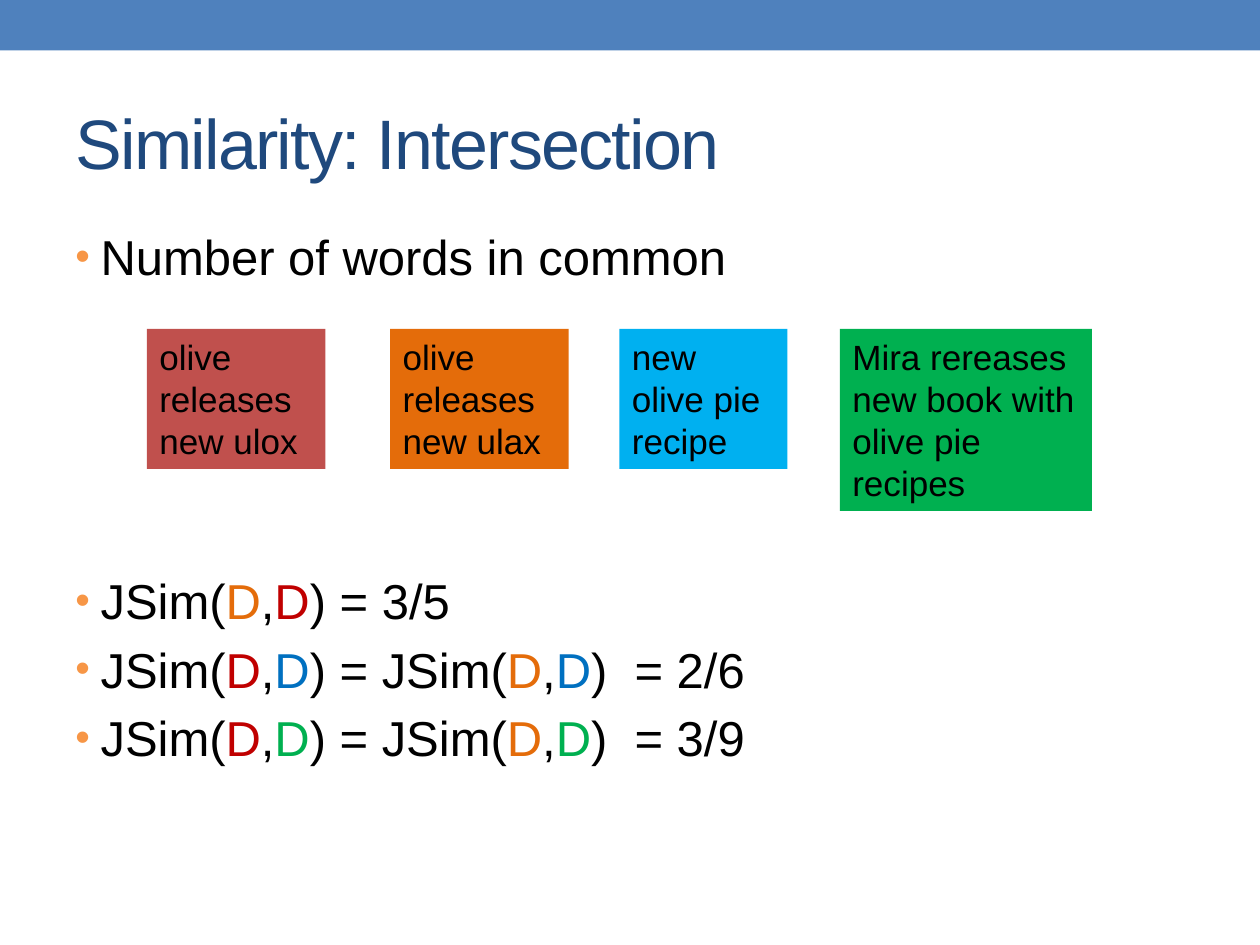
from dataclasses import dataclass

from lxml import etree
from pptx import Presentation
from pptx.dml.color import RGBColor
from pptx.enum import shapes, text
from pptx.util import Pt


@dataclass(frozen=True)
class Theme:
    font: str = "Arial"
    head: int = 40
    body: int = 28
    note: int = 20
    gap: float = 5.6
    bar: str = "4F81BD"
    title: str = "1F497D"
    ink: str = "000000"
    dot: str = "F79646"
    red: str = "C0504D"
    orange: str = "E46C0A"
    sky: str = "00B0F0"
    green: str = "00B050"
    crimson: str = "C00000"
    blue: str = "0070C0"


LOOK = Theme()


def style(font, size, color):
    font.name, font.size = LOOK.font, Pt(size)
    font.color.rgb = RGBColor.from_string(color)


def add_rect(slide, box, color):
    rect = slide.shapes.add_shape(shapes.MSO_SHAPE.RECTANGLE, *map(Pt, box))
    rect.shadow.inherit = False
    rect.fill.solid()
    rect.fill.fore_color.rgb = RGBColor.from_string(color)
    rect.line.fill.background()
    return rect


def add_frame(slide, box, anchor):
    frame = slide.shapes.add_textbox(*map(Pt, box)).text_frame
    frame.word_wrap = True
    frame.vertical_anchor = anchor
    return frame


def add_title(slide, words):
    frame = add_frame(slide, (36, 42, 648, 78), text.MSO_ANCHOR.MIDDLE)
    para = frame.paragraphs[0]
    run = para.add_run()
    run.text = words
    style(para.font, LOOK.head, LOOK.title)
    run.font._element.set("spc", "-100")


def add_card(slide, left, width, height, color, words):
    rect = add_rect(slide, (left, 188, width, height), color)
    frame = rect.text_frame
    frame.word_wrap = True
    frame.vertical_anchor = text.MSO_ANCHOR.TOP
    para = frame.paragraphs[0]
    para.text = words
    para.alignment = text.PP_ALIGN.LEFT
    style(para.font, LOOK.note, LOOK.ink)


def add_dot(para):
    props = para._p.get_or_add_pPr()
    props.set("marL", str(Pt(14.4)))
    props.set("indent", str(-Pt(14.4)))
    space = props.nsmap["a"]

    def add(parent, tag, **attrs):
        return etree.SubElement(parent, f"{{{space}}}{tag}", **attrs)

    add(add(props, "buClr"), "srgbClr", val=LOOK.dot)
    add(props, "buSzPct", val="85000")
    add(props, "buFont", typeface=LOOK.font)
    add(props, "buChar", char="•")


def add_points(slide, box, rows):
    frame = add_frame(slide, box, text.MSO_ANCHOR.TOP)
    for i, parts in enumerate(rows):
        para = frame.add_paragraph() if i else frame.paragraphs[0]
        para.space_before = Pt(LOOK.gap)
        add_dot(para)
        style(para.font, LOOK.body, LOOK.ink)
        for words, color in parts:
            run = para.add_run()
            run.text = words
            style(run.font, LOOK.body, color)


def pair(first, second):
    """Coloured parts of one similarity term."""
    ink = LOOK.ink
    return [("JSim(", ink), ("D", first), (",", ink), ("D", second), (")", ink)]


def main():
    deck = Presentation()
    deck.slide_width, deck.slide_height = Pt(720), Pt(540)
    slide = deck.slides.add_slide(deck.slide_layouts[6])
    ink, red, orange = LOOK.ink, LOOK.crimson, LOOK.orange

    # Top bar and title
    add_rect(slide, (0, 0, 720, 28.8), LOOK.bar)
    add_title(slide, "Similarity: Intersection")

    # Measure and its results
    add_points(slide, (36, 126, 648, 48), [[("Number of words in common", ink)]])
    rows = [pair(orange, red) + [(" = 3/5", ink)]]
    for color, value in ((LOOK.blue, "2/6"), (LOOK.green, "3/9")):
        rows.append(pair(red, color) + [(" = ", ink)] + pair(orange, color)
                    + [(f"  = {value}", ink)])
    add_points(slide, (36, 322.5, 648, 132), rows)

    # Sample documents
    for card in (
        (84, 102, 80, LOOK.red, "olive releases new ulox"),
        (223, 102, 80, LOOK.orange, "olive releases new ulax"),
        (354, 96, 80, LOOK.sky, "new olive pie recipe"),
        (480, 144, 104, LOOK.green, "Mira rereases new book with olive pie recipes"),
    ):
        add_card(slide, *card)

    deck.save("out.pptx")


if __name__ == "__main__":
    main()
